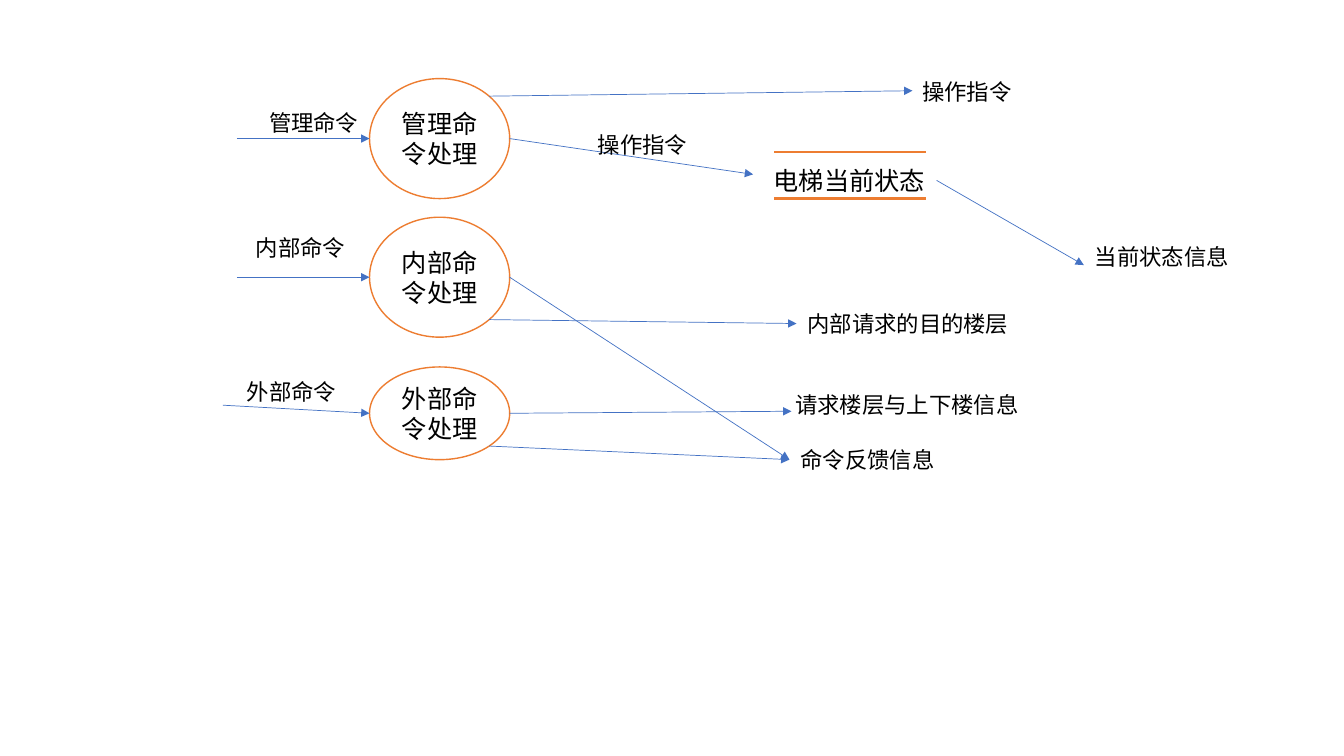
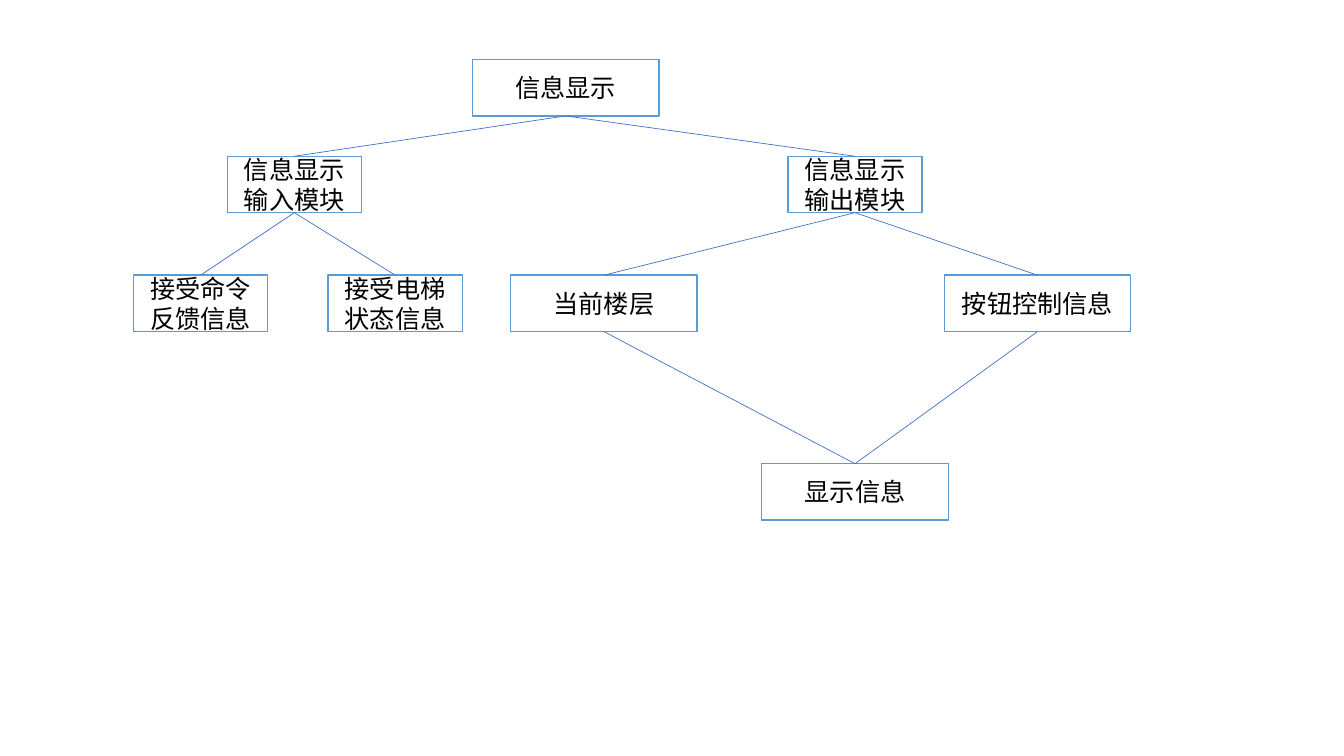
from dataclasses import dataclass
from math import cos, radians, sin

from lxml import etree
from pptx import Presentation
from pptx import util as u
from pptx.dml.color import RGBColor
from pptx.enum import shapes, text
from pptx.oxml.ns import qn

COLORS = {"paper": "FFFFFF", "ink": "000000", "process": "ED7D31",
          "module": "5B9BD5", "flow": "4472C4"}
FONT = "Noto Sans CJK SC"
NODE_SIZE, LABEL_SIZE = 18, 16
ROWS = 75
BLANK_LAYOUT = 6
TOP, BOTTOM = 0, 2


@dataclass
class Box:
    """Region of a slide, divided into square cells."""
    left: int
    top: int
    width: int
    height: int

    def span(self, cells):
        """Return the length of a number of cells."""
        return round(cells * self.height / ROWS)

    def point(self, column, row):
        """Return the slide position of a grid point."""
        return self.left + self.span(column), self.top + self.span(row)


def color(name):
    """Return a palette colour."""
    return RGBColor.from_string(COLORS[name])


def write(shape, wording, size, align):
    """Put one styled paragraph into a shape."""
    frame = shape.text_frame
    frame.text = wording
    paragraph = frame.paragraphs[0]
    paragraph.alignment = align
    font = paragraph.runs[0].font
    font.size, font.name = u.Pt(size), FONT
    font.color.rgb = color("ink")
    etree.SubElement(paragraph.runs[0]._r.get_or_add_rPr(), qn("a:ea"), typeface=FONT)


def add_node(slide, box, kind, outline, wording, center, size):
    """Add an outlined node with centred text."""
    column, row = center
    width, height = size
    node = slide.shapes.add_shape(
        kind, *box.point(column - width / 2, row - height / 2),
        box.span(width), box.span(height))
    node.shadow.inherit = False
    node.fill.solid()
    node.fill.fore_color.rgb = color("paper")
    node.line.color.rgb = color(outline)
    node.line.width = u.Pt(1)
    node.text_frame.word_wrap = True
    node.text_frame.vertical_anchor = text.MSO_ANCHOR.MIDDLE
    write(node, wording, NODE_SIZE, text.PP_ALIGN.CENTER)
    return node


def add_label(slide, box, wording, left, middle, size=LABEL_SIZE):
    """Add a one-line label as wide as its characters, centred on a row."""
    width = u.Pt(size * len(wording)) + u.Inches(0.2)
    height = u.Pt(size * 1.2) + u.Inches(0.1)
    x, y = box.point(left, middle)
    label = slide.shapes.add_textbox(x, y - height // 2, width, height)
    label.text_frame.word_wrap = False
    label.text_frame.auto_size = text.MSO_AUTO_SIZE.SHAPE_TO_FIT_TEXT
    write(label, wording, size, text.PP_ALIGN.LEFT)


def add_line(slide, start, end, stroke="flow", weight=0.5, arrow=False):
    """Add a straight line, with an arrowhead at its end if asked."""
    line = slide.shapes.add_connector(shapes.MSO_CONNECTOR.STRAIGHT, *start, *end)
    line.line.color.rgb = color(stroke)
    line.line.width = u.Pt(weight)
    if arrow:
        etree.SubElement(line.line._get_or_add_ln(), qn("a:tailEnd"), type="triangle")
    etree.SubElement(line._element.spPr, qn("a:effectLst"))
    return line


def rim(node, degrees):
    """Return the point on an ellipse at an angle, clockwise from the right."""
    angle = radians(degrees)
    return (round(node.left + node.width * (1 + cos(angle)) / 2),
            round(node.top + node.height * (1 + sin(angle)) / 2))


def draw_data_flow(slide, box):
    """Draw the command processes, their flows and the state store."""
    process_column, process_width = 43.6, 13.9
    feedback = (78.3, 45.6)
    processes = [
        ("管理命令处理", 13.75, 11.9, (23.5, 13.75),
         [(-45, (90.5, 9)), (0, (74.7, 17.3))]),
        ("内部命令处理", 27.5, 11.9, (23.5, 27.5),
         [(0, feedback), (45, (79, 32.1))]),
        ("外部命令处理", 41, 9.2, (22.1, 40.2),
         [(0, (78.5, 40.8)), (45, feedback)]),
    ]
    for wording, row, height, source, outputs in processes:
        process = add_node(slide, box, shapes.MSO_SHAPE.OVAL, "process", wording,
                           (process_column, row), (process_width, height))
        add_line(slide, box.point(*source), rim(process, 180), arrow=True)
        for degrees, target in outputs:
            add_line(slide, rim(process, degrees), box.point(*target), arrow=True)

    for row in (15.1, 19.7):
        add_line(slide, box.point(76.8, row), box.point(91.8, row), "process", 1.5)
    add_label(slide, box, "电梯当前状态", 75.75, 17.9, NODE_SIZE)
    add_line(slide, box.point(92.9, 17.9), box.point(107.5, 26.3), arrow=True)

    for wording, left, middle in [
        ("管理命令", 25.7, 12.15), ("内部命令", 24.4, 24.55),
        ("外部命令", 23.5, 38.85), ("操作指令", 58.3, 14.35),
        ("操作指令", 90.5, 9.05), ("当前状态信息", 107.6, 25.45),
        ("内部请求的目的楼层", 79.1, 32.15), ("请求楼层与上下楼信息", 77.9, 40.15),
        ("命令反馈信息", 78.4, 45.65),
    ]:
        add_label(slide, box, wording, left, middle)


def draw_module_tree(slide, box):
    """Draw the display modules and the links between them."""
    wide, narrow, height = 18.5, 13.3, 5.6
    root_row, branch_row, leaf_row, result_row = 8.7, 18.3, 30.1, 48.8
    modules = {
        "信息显示": (56.1, root_row, wide),
        "信息显示输入模块": (29.2, branch_row, narrow),
        "信息显示输出模块": (84.8, branch_row, narrow),
        "接受命令反馈信息": (19.9, leaf_row, narrow),
        "接受电梯状态信息": (39.2, leaf_row, narrow),
        "当前楼层": (59.9, leaf_row, wide),
        "按钮控制信息": (102.9, leaf_row, wide),
        "显示信息": (84.8, result_row, wide),
    }
    links = {
        "信息显示": ["信息显示输入模块", "信息显示输出模块"],
        "信息显示输入模块": ["接受命令反馈信息", "接受电梯状态信息"],
        "信息显示输出模块": ["当前楼层", "按钮控制信息"],
        "当前楼层": ["显示信息"],
        "按钮控制信息": ["显示信息"],
    }
    nodes = {
        wording: add_node(slide, box, shapes.MSO_SHAPE.RECTANGLE, "module", wording,
                          (column, row), (width, height))
        for wording, (column, row, width) in modules.items()
    }
    for parent, children in links.items():
        for child in children:
            link = add_line(slide, (0, 0), (0, 0))
            link.begin_connect(nodes[parent], BOTTOM)
            link.end_connect(nodes[child], TOP)


def build():
    """Build the deck and save it."""
    deck = Presentation()
    deck.slide_width, deck.slide_height = u.Inches(13.33), u.Inches(7.5)
    page = Box(0, 0, deck.slide_width, deck.slide_height)
    for draw in (draw_data_flow, draw_module_tree):
        draw(deck.slides.add_slide(deck.slide_layouts[BLANK_LAYOUT]), page)
    deck.save("out.pptx")


build()
